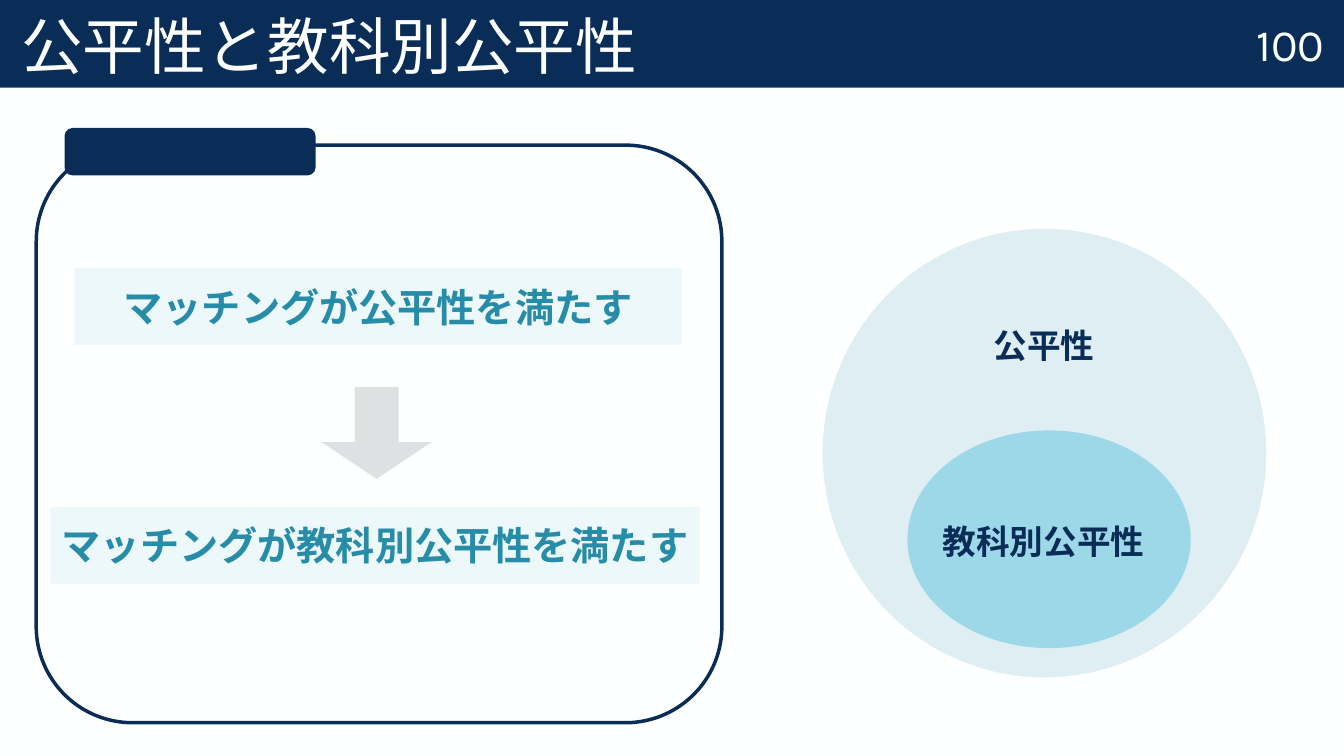
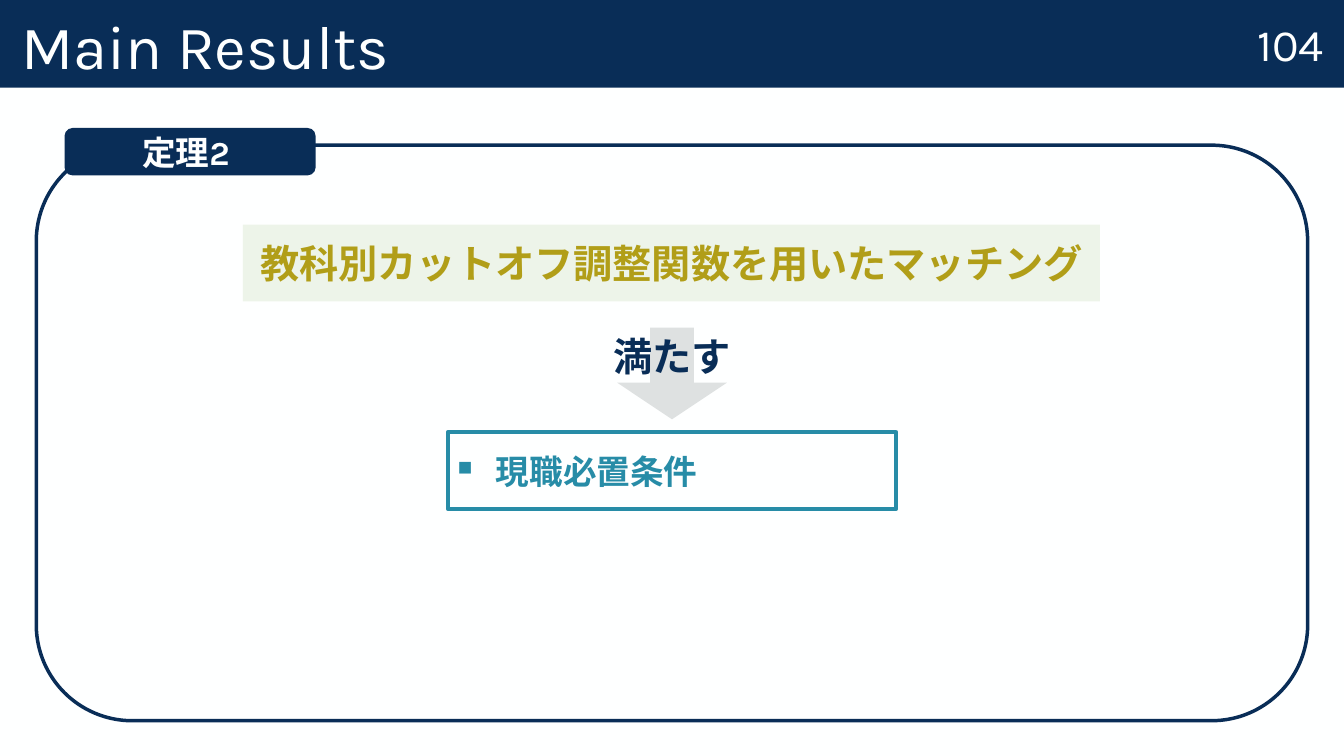
from lxml.etree import SubElement
from pptx import Presentation
from pptx.dml.color import RGBColor
from pptx.enum.lang import MSO_LANGUAGE_ID
from pptx.enum.shapes import MSO_SHAPE
from pptx.enum.text import MSO_ANCHOR, PP_ALIGN
from pptx.oxml.ns import qn
from pptx.util import Inches, Pt

FONT = "Karla"
COLORS = {
    "paper": "FEFFFF", "navy": "092D57", "teal": "278CA7", "olive": "B19E18",
    "sky": "6BC5DC", "green": "689E38", "gray": "DEE1E1",
    "pale": "DEEEF2", "aqua": "9CD8E8",
}


def add_box(page, kind, place, fill=None, line=None, line_width=2.5, opacity=100):
    """Add a shape at (left, top, width, height) in inches; opacity is a percentage."""
    box = page.shapes.add_shape(kind, *[Inches(value) for value in place])
    box.shadow.inherit = False
    if fill:
        box.fill.solid()
        box.fill.fore_color.rgb = RGBColor.from_string(COLORS[fill])
        if opacity < 100:
            color = box.fill._xPr.find(qn("a:solidFill"))[0]
            SubElement(color, qn("a:alpha"), val=str(opacity * 1000))
    else:
        box.fill.background()
    if line:
        box.line.color.rgb = RGBColor.from_string(COLORS[line])
        box.line.width = Pt(line_width)
    else:
        box.line.fill.background()
    return box


def write(box, text, size, color, bold=True, align=PP_ALIGN.CENTER,
          anchor=MSO_ANCHOR.MIDDLE, wrap=True):
    frame = box.text_frame
    frame.text = text
    frame.word_wrap = wrap
    frame.vertical_anchor = anchor
    para = frame.paragraphs[0]
    para.alignment = align
    font = para.runs[0].font
    font.name = FONT
    font.size = Pt(size)
    font.bold = bold
    font.language_id = MSO_LANGUAGE_ID.JAPANESE
    font.color.rgb = RGBColor.from_string(COLORS[color])
    return para


deck = Presentation()
deck.slide_width, deck.slide_height = Inches(13.33), Inches(7.5)
background = deck.slide_master.background.fill
background.solid()
background.fore_color.rgb = RGBColor.from_string(COLORS["paper"])

# Title band, page number, frame with tab, statements and arrow
slides = [
    {"title": "公平性と教科別公平性", "number": "100", "tab": "",
     "frame": (0.36, 1.44, 6.8, 5.73), "arrow": (3.19, 3.84),
     "statements": [
         ("マッチングが公平性を満たす", (0.74, 2.66, 6.02, 0.76), "sky", "teal"),
         ("マッチングが教科別公平性を満たす", (0.5, 5.03, 6.44, 0.76), "sky", "teal")]},
    {"title": "Main Results", "number": "104", "tab": "定理2 ",
     "frame": (0.36, 1.44, 12.61, 5.71), "arrow": (6.12, 3.25),
     "statements": [
         ("教科別カットオフ調整関数を用いたマッチング", (2.41, 2.23, 8.5, 0.76),
          "green", "olive")]},
]
pages = []
for content in slides:
    page = deck.slides.add_slide(deck.slide_layouts[6])
    pages.append(page)

    band = add_box(page, MSO_SHAPE.RECTANGLE, (0, 0, 13.33, 0.87), "navy")
    band.text_frame.margin_left = Inches(0.21)
    title = write(band, content["title"], 44, "paper", bold=False,
                  align=PP_ALIGN.LEFT, anchor=MSO_ANCHOR.BOTTOM)
    title.line_spacing = 0.9
    number = page.shapes.add_textbox(Inches(12.28), 0, Inches(1.04), Inches(0.86))
    write(number, content["number"], 32, "paper", bold=False)

    add_box(page, MSO_SHAPE.ROUNDED_RECTANGLE, content["frame"], line="navy")
    tab = add_box(page, MSO_SHAPE.ROUNDED_RECTANGLE, (0.64, 1.27, 2.49, 0.47), "navy")
    if content["tab"]:
        write(tab, content["tab"], 24, "paper")

    for text, place, fill, color in content["statements"]:
        statement = add_box(page, MSO_SHAPE.RECTANGLE, place, fill, opacity=11)
        write(statement, text, 28, color)

    arrow = add_box(page, MSO_SHAPE.DOWN_ARROW, (*content["arrow"], 1.09, 0.91), "gray")
    arrow.adjustments[0] = 0.4
    arrow.adjustments[1] = 0.4

fairness_page, theorem_page = pages

# Nested sets
add_box(fairness_page, MSO_SHAPE.OVAL, (8.16, 2.27, 4.4, 4.45), "pale")
add_box(fairness_page, MSO_SHAPE.OVAL, (9, 4.27, 2.81, 2.16), "aqua")
for text, left, top, width in [("公平性", 9.75, 3.17, 1.21),
                               ("教科別公平性", 9.24, 5.12, 2.22)]:
    label = fairness_page.shapes.add_textbox(
        Inches(left), Inches(top), Inches(width), Inches(0.5))
    write(label, text, 24, "navy", wrap=False)

# Condition met by the matching
condition = add_box(theorem_page, MSO_SHAPE.RECTANGLE, (4.44, 4.29, 4.45, 0.76),
                    line="teal", line_width=2.75)
para = write(condition, "現職必置条件", 24, "teal", align=PP_ALIGN.LEFT)
properties = para._p.get_or_add_pPr()
properties.set("marL", str(Inches(0.38)))
properties.set("indent", str(-Inches(0.38)))
SubElement(properties, qn("a:buSzPct"), val="60000")
SubElement(properties, qn("a:buChar"), char="■")

satisfies = theorem_page.shapes.add_textbox(
    Inches(5.06), Inches(3.25), Inches(3.21), Inches(0.57))
write(satisfies, "満たす", 28, "navy", anchor=MSO_ANCHOR.TOP)

deck.save("out.pptx")
